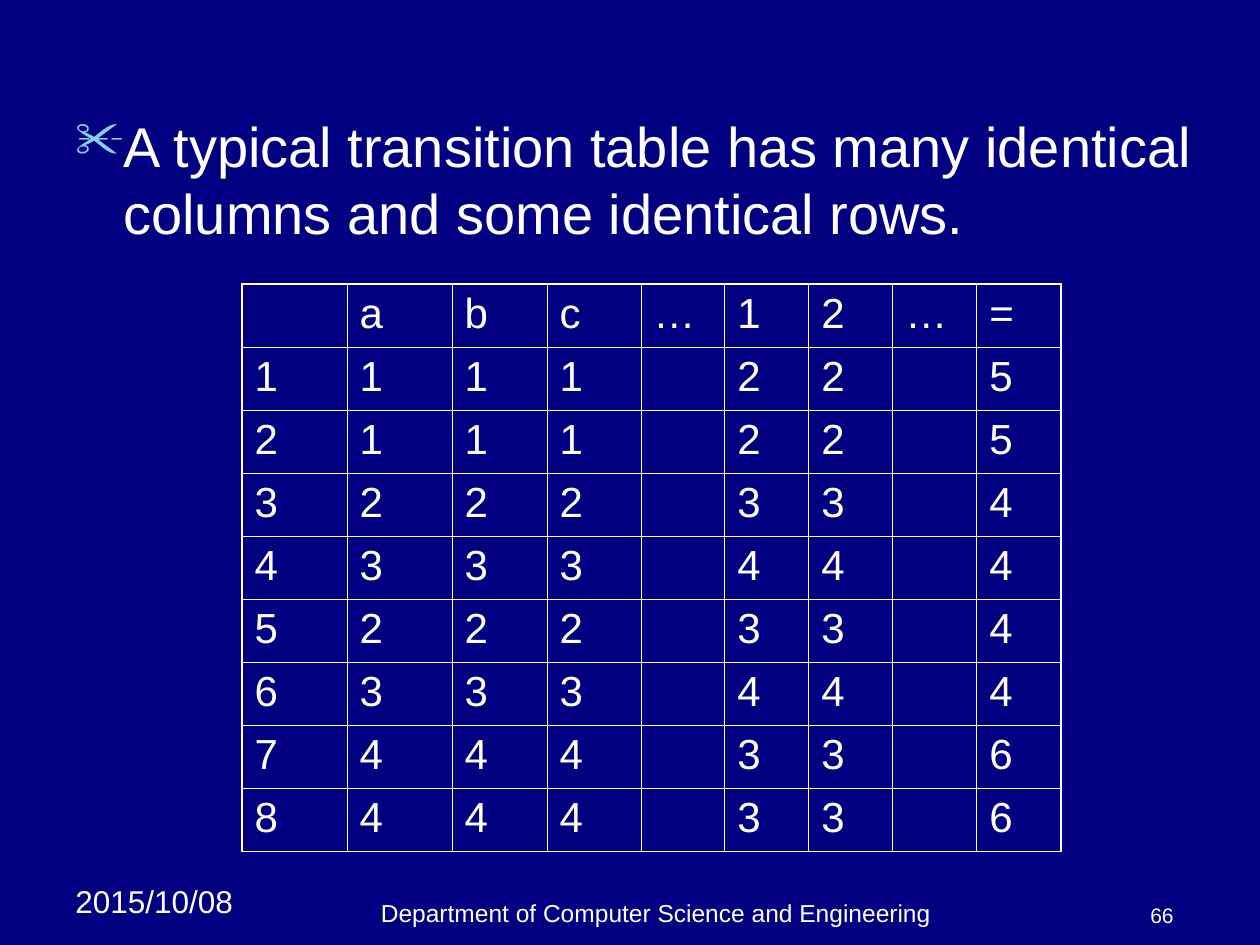
from typing import NamedTuple

from lxml.etree import SubElement
from pptx import Presentation
from pptx.dml.color import RGBColor
from pptx.enum.text import MSO_ANCHOR as Anchor, PP_ALIGN as Align
from pptx.oxml.ns import qn
from pptx.util import Emu, Pt

PX_PER_INCH = 126
FONT = "Arial"
NAVY, WHITE, SKY = "000080", "FFFFFF", "86D1EC"
INNER_LINE, OUTER_LINE = 0.45, 1.08


class Label(NamedTuple):
    text: str
    left: int
    top: int
    width: int
    height: int
    size: int
    align: Align = Align.LEFT
    anchor: Anchor = Anchor.TOP


STATEMENT = Label(
    "A typical transition table has many identical columns and some identical rows.",
    63, 105, 1144, 788, 32)
FOOTERS = [
    Label("2015/10/08", 63, 876, 199, 50, 18),
    Label("Department of Computer Science and Engineering",
          231, 892, 850, 42, 14, Align.CENTER, Anchor.BOTTOM),
    Label("66", 1102, 892, 84, 42, 12, Align.RIGHT, Anchor.BOTTOM),
]

# Transition table: each state goes to one target for letters, digits and "="
COLUMN_WIDTHS = [105, 105, 95, 94] + [84] * 5
ROW_HEIGHT = 63
HEADER = ["", "a", "b", "c", "…", "1", "2", "…", "="]
TARGETS = ["125", "125", "234", "344", "234", "344", "436", "436"]


def px(value: int) -> Emu:
    return Emu(round(value * 914400 / PX_PER_INCH))


def colour(value: str) -> RGBColor:
    return RGBColor.from_string(value)


def style_runs(paragraph, size: int) -> None:
    for run in paragraph.runs:
        run.font.name = FONT
        run.font.size = Pt(size)
        run.font.color.rgb = colour(WHITE)


def add_label(slide, label: Label):
    box = slide.shapes.add_textbox(
        px(label.left), px(label.top), px(label.width), px(label.height))
    frame = box.text_frame
    frame.word_wrap = True
    frame.vertical_anchor = label.anchor
    frame.text = label.text
    paragraph = frame.paragraphs[0]
    paragraph.alignment = label.align
    style_runs(paragraph, label.size)
    return paragraph


def add_bullet(paragraph, char: str, tint: str, percent: int, indent: int) -> None:
    props = paragraph._p.get_or_add_pPr()
    props.set("marL", str(px(indent)))
    props.set("indent", str(-px(indent)))
    SubElement(SubElement(props, qn("a:buClr")), qn("a:srgbClr"), val=tint)
    SubElement(props, qn("a:buSzPct"), val=str(percent * 1000))
    SubElement(props, qn("a:buChar"), char=char)


def set_border(cell, side: str, points: float) -> None:
    line = SubElement(cell._tc.get_or_add_tcPr(), qn(f"a:ln{side}"),
                      w=str(Pt(points)))
    SubElement(SubElement(line, qn("a:solidFill")), qn("a:srgbClr"), val=WHITE)


def add_transition_table(slide, left: int, top: int, rows: list[list[str]]) -> None:
    last_row, last_column = len(rows) - 1, len(COLUMN_WIDTHS) - 1
    table = slide.shapes.add_table(
        len(rows), len(COLUMN_WIDTHS), px(left), px(top),
        px(sum(COLUMN_WIDTHS)), px(ROW_HEIGHT * len(rows))).table
    table.first_row = table.horz_banding = False
    for column, width in zip(table.columns, COLUMN_WIDTHS):
        column.width = px(width)
    for r, values in enumerate(rows):
        table.rows[r].height = px(ROW_HEIGHT)
        for c, value in enumerate(values):
            cell = table.cell(r, c)
            cell.text_frame.text = value
            style_runs(cell.text_frame.paragraphs[0], 24)
            edges = {"L": c == 0, "R": c == last_column,
                     "T": r == 0, "B": r == last_row}
            for side, is_outer in edges.items():
                set_border(cell, side, OUTER_LINE if is_outer else INNER_LINE)
            cell.fill.background()


def main() -> None:
    deck = Presentation()
    deck.slide_width, deck.slide_height = px(1260), px(945)
    slide = deck.slides.add_slide(deck.slide_layouts[6])
    slide.background.fill.solid()
    slide.background.fill.fore_color.rgb = colour(NAVY)

    # Date, department and page number
    for footer in FOOTERS:
        add_label(slide, footer)

    # Statement
    add_bullet(add_label(slide, STATEMENT), "✂", SKY, 90, 48)

    # Table
    states = [[str(state), *letter * 3, "", *digit * 2, "", equals]
              for state, (letter, digit, equals) in enumerate(TARGETS, start=1)]
    add_transition_table(slide, 242, 284, [HEADER, *states])

    deck.save("out.pptx")


if __name__ == "__main__":
    main()
